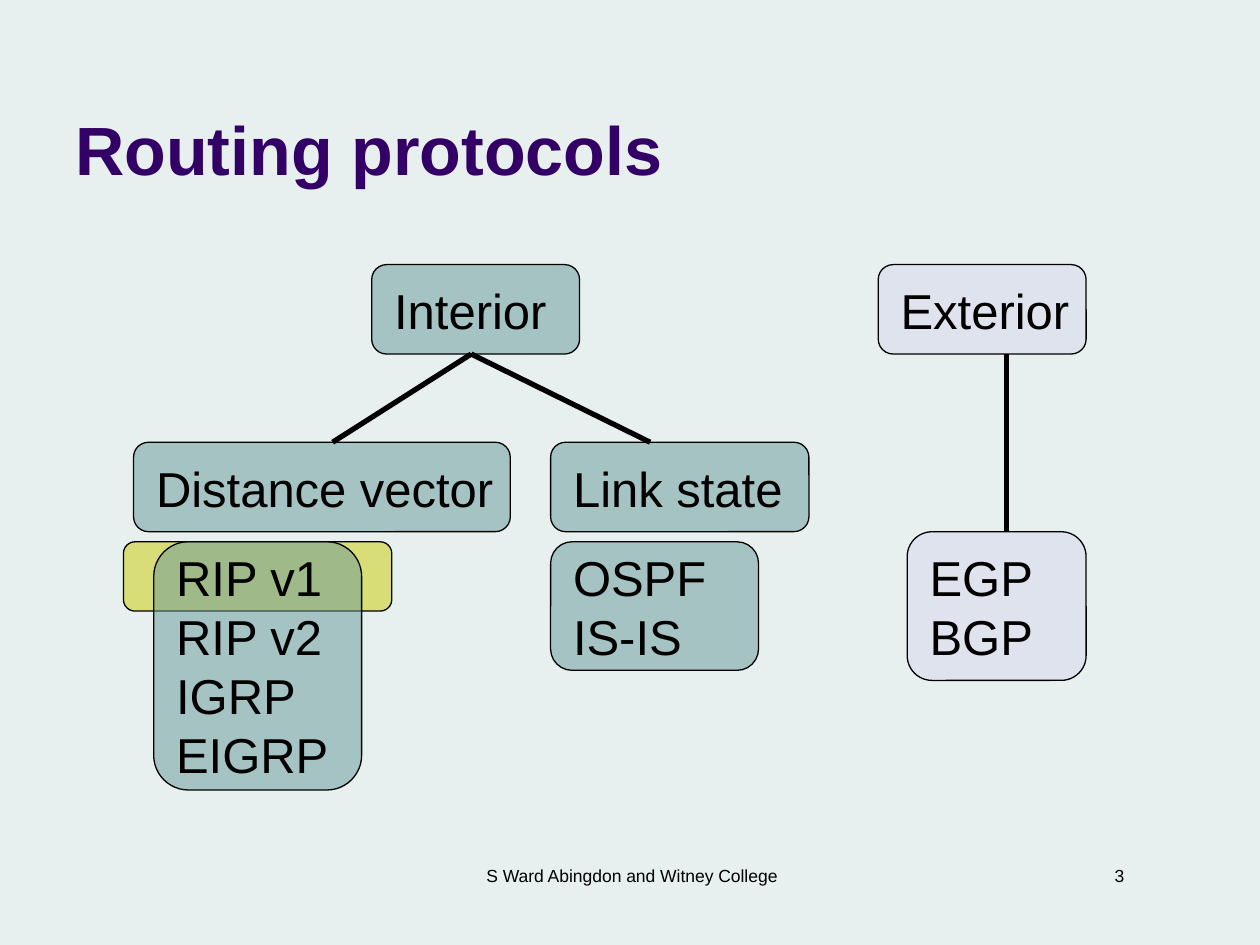
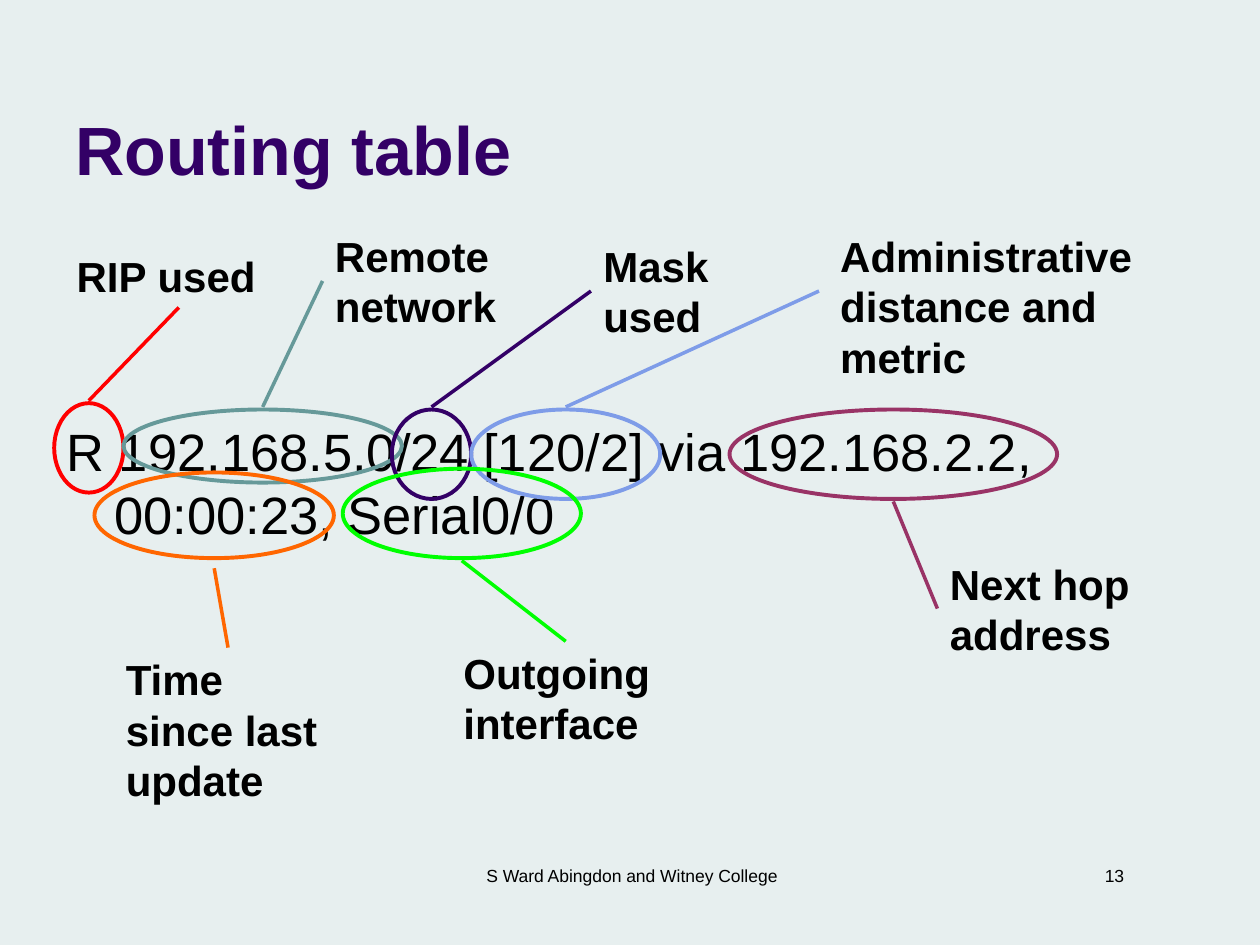
from dataclasses import dataclass

from lxml import etree
from pptx import Presentation
from pptx.dml.color import RGBColor
from pptx.enum.shapes import MSO_CONNECTOR as Connector, MSO_SHAPE as Preset
from pptx.enum.text import MSO_ANCHOR as Anchor, PP_ALIGN as Align
from pptx.oxml.ns import qn
from pptx.util import Inches, Pt

# Shared look
BACKGROUND = RGBColor(0xE7, 0xEF, 0xEF)
BLACK = RGBColor(0x00, 0x00, 0x00)
PURPLE = RGBColor(0x33, 0x00, 0x66)
TEAL = RGBColor(0x66, 0x99, 0x99)
LAVENDER = RGBColor(0xD8, 0xD8, 0xEC)
YELLOW = RGBColor(0xCC, 0xCC, 0x00)
RED = RGBColor(0xFF, 0x00, 0x00)
PLUM = RGBColor(0x99, 0x33, 0x66)
BLUE = RGBColor(0x7E, 0x9C, 0xE8)
ORANGE = RGBColor(0xFF, 0x66, 0x00)
GREEN = RGBColor(0x00, 0xFF, 0x00)
FONT = "Arial"
FOOTER = "S Ward Abingdon and Witney College"

Box = tuple[float, float, float, float]  # left, top, width, height
Point = tuple[float, float]


@dataclass
class Node:
    text: str
    box: Box
    fill: RGBColor
    text_box: Box


@dataclass
class Callout:
    text: str
    label: Box
    ring: Box
    line_start: Point
    color: RGBColor
    gap: float = 0.02


def add_text(shapes, text: str, box: Box, *, size: float, color=BLACK, bold=False,
             align=Align.LEFT, anchor=Anchor.TOP, hanging: float = 0):
    shape = shapes.add_textbox(*map(Inches, box))
    frame = shape.text_frame
    frame.word_wrap = True
    frame.vertical_anchor = anchor
    paragraph = frame.paragraphs[0]
    paragraph.text = text
    paragraph.alignment = align
    if hanging:
        properties = paragraph._p.get_or_add_pPr()
        properties.set("marL", str(Inches(hanging)))
        properties.set("indent", str(-Inches(hanging)))
    for run in paragraph.runs:
        font = run.font
        font.name, font.size, font.bold = FONT, Pt(size), bold
        font.color.rgb = color
    return shape


def add_line(shapes, start: Point, end: Point, color: RGBColor, width: float) -> None:
    line = shapes.add_connector(Connector.STRAIGHT, *map(Inches, (*start, *end)))
    line.line.color.rgb = color
    line.line.width = Pt(width)
    etree.SubElement(line._element.spPr, qn("a:effectLst"))


def add_rounded_box(shapes, box: Box, fill: RGBColor) -> None:
    shape = shapes.add_shape(Preset.ROUNDED_RECTANGLE, *map(Inches, box))
    shape.shadow.inherit = False
    shape.adjustments[0] = 0.167
    shape.fill.solid()
    shape.fill.fore_color.rgb = fill
    color = shape._element.spPr.find(qn("a:solidFill"))[0]
    etree.SubElement(color, qn("a:alpha"), val="50000")
    shape.line.color.rgb = BLACK
    shape.line.width = Pt(0.75)


def add_ring(shapes, box: Box, color: RGBColor) -> None:
    shape = shapes.add_shape(Preset.OVAL, *map(Inches, box))
    shape.shadow.inherit = False
    shape.fill.background()
    shape.line.color.rgb = color
    shape.line.width = Pt(2.25)


def add_callout(slide, callout: Callout) -> None:
    """Label, ring and a line from the label to the nearer end of the ring."""
    shapes = slide.shapes.add_group_shape().shapes
    left, top, width, height = callout.ring
    above = callout.line_start[1] < top
    ring_end = top - callout.gap if above else top + height + callout.gap
    add_text(shapes, callout.text, callout.label, size=24, bold=True)
    add_ring(shapes, callout.ring, callout.color)
    add_line(shapes, callout.line_start, (left + width / 2, ring_end), callout.color, 2)


def add_base_slide(presentation, title: str, number: int):
    slide = presentation.slides.add_slide(presentation.slide_layouts[6])
    slide.background.fill.solid()
    slide.background.fill.fore_color.rgb = BACKGROUND
    add_text(slide.shapes, str(number), (6.97, 6.82, 2.05, 0.27), size=10, align=Align.RIGHT)
    add_text(slide.shapes, FOOTER, (3.43, 6.82, 3.17, 0.5), size=10, align=Align.CENTER)
    add_text(slide.shapes, title, (0.5, 0.13, 8.25, 1.42), size=39, color=PURPLE,
             bold=True, anchor=Anchor.BOTTOM)
    return slide


# Protocol tree
RIP_HIGHLIGHT: Box = (0.98, 4.3, 2.13, 0.55)
NODES = [
    Node("RIP v1\nRIP v2\nIGRP\nEIGRP", (1.22, 4.3, 1.65, 1.97), TEAL, (1.3, 4.3, 1.5, 1.97)),
    Node("OSPF\nIS-IS", (4.37, 4.3, 1.65, 1.02), TEAL, (4.45, 4.3, 2.2, 1.04)),
    Node("EGP\nBGP", (7.2, 4.22, 1.42, 1.18), LAVENDER, (7.28, 4.3, 2.2, 1.04)),
    Node("Link state", (4.37, 3.51, 2.05, 0.71), TEAL, (4.45, 3.59, 2.2, 0.57)),
    Node("Distance vector", (1.06, 3.51, 2.99, 0.71), TEAL, (1.14, 3.59, 3.23, 0.57)),
    Node("Exterior", (6.97, 2.1, 1.65, 0.71), LAVENDER, (7.05, 2.18, 2.2, 0.57)),
    Node("Interior", (2.95, 2.1, 1.65, 0.71), TEAL, (3.03, 2.18, 2.21, 0.57)),
]
BRANCHES = [
    ((7.99, 2.81), (7.99, 4.22)),
    ((3.74, 2.81), (2.64, 3.51)),
    ((3.74, 2.81), (5.16, 3.51)),
]

# Parts of the routing table entry
ENTRY = "R 192.168.5.0/24 [120/2] via 192.168.2.2, 00:00:23, Serial0/0"
CALLOUTS = [
    Callout("RIP used", (0.51, 1.94, 1.81, 0.5), (0.43, 3.2, 0.55, 0.71), (1.42, 2.44), RED),
    Callout("Remote network", (2.56, 1.78, 1.81, 0.9), (0.98, 3.25, 2.21, 0.58),
            (2.56, 2.23), TEAL),
    Callout("Next hop address", (7.44, 4.38, 1.81, 0.9), (5.79, 3.25, 2.6, 0.71),
            (7.44, 4.83), PLUM),
    Callout("Mask used", (4.69, 1.86, 1.81, 0.9), (3.11, 3.25, 0.63, 0.71),
            (4.69, 2.31), PURPLE),
    Callout("Administrative distance and metric", (6.57, 1.78, 2.99, 1.3),
            (3.74, 3.25, 1.5, 0.71), (6.5, 2.31), BLUE),
    Callout("Time since last update", (0.9, 5.14, 1.81, 1.3), (0.75, 3.75, 1.9, 0.68),
            (1.81, 5.14), ORANGE, gap=0.08),
    Callout("Outgoing interface", (3.58, 5.09, 1.81, 0.9), (2.72, 3.72, 1.89, 0.71),
            (4.49, 5.09), GREEN),
]


def build_protocols(presentation) -> None:
    slide = add_base_slide(presentation, "Routing protocols", 3)
    add_rounded_box(slide.shapes, RIP_HIGHLIGHT, YELLOW)
    for node in NODES:
        add_rounded_box(slide.shapes, node.box, node.fill)
        add_text(slide.shapes, node.text, node.text_box, size=28)
    for start, end in BRANCHES:
        add_line(slide.shapes, start, end, BLACK, 3)


def build_table_entry(presentation) -> None:
    slide = add_base_slide(presentation, "Routing table", 13)
    add_text(slide.shapes, ENTRY, (0.43, 3.28, 9, 1.24), size=30, hanging=0.38)
    for callout in CALLOUTS:
        add_callout(slide, callout)


def main() -> None:
    presentation = Presentation()
    presentation.slide_width, presentation.slide_height = Inches(10), Inches(7.5)
    build_protocols(presentation)
    build_table_entry(presentation)
    presentation.save("out.pptx")


if __name__ == "__main__":
    main()
